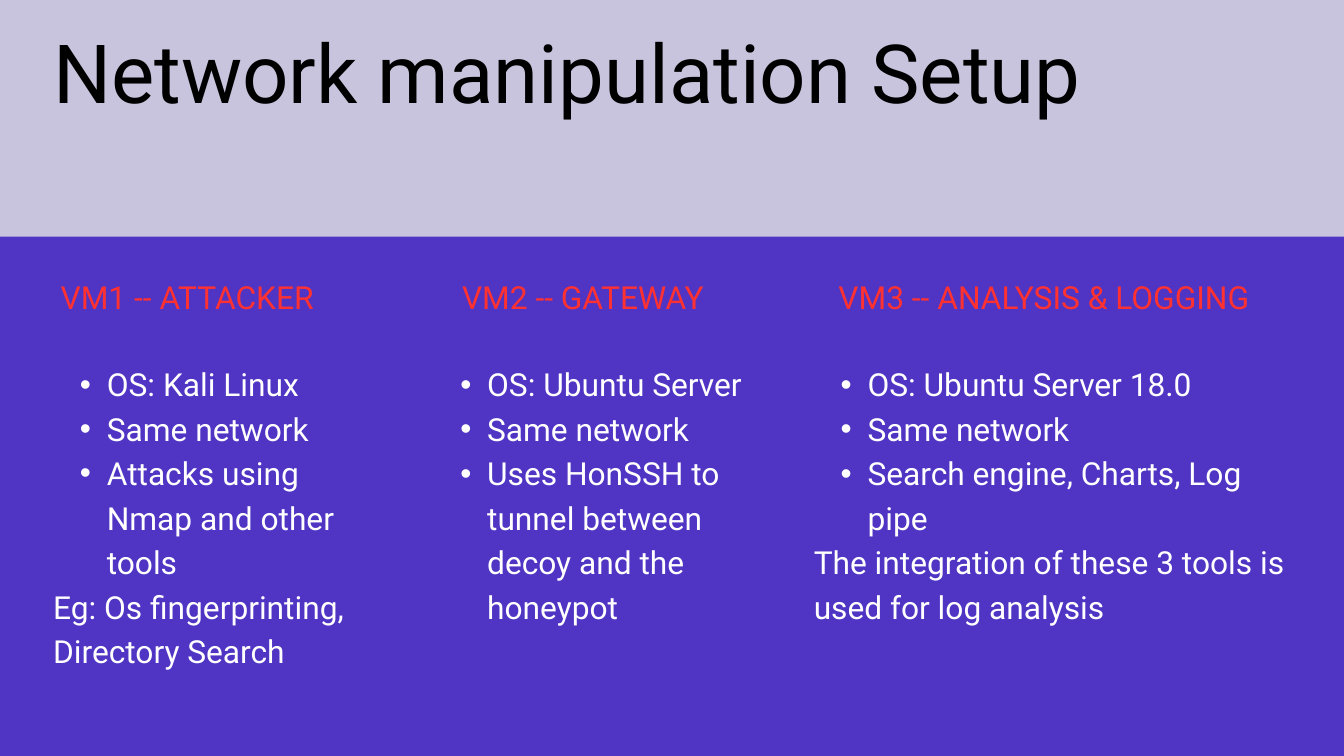
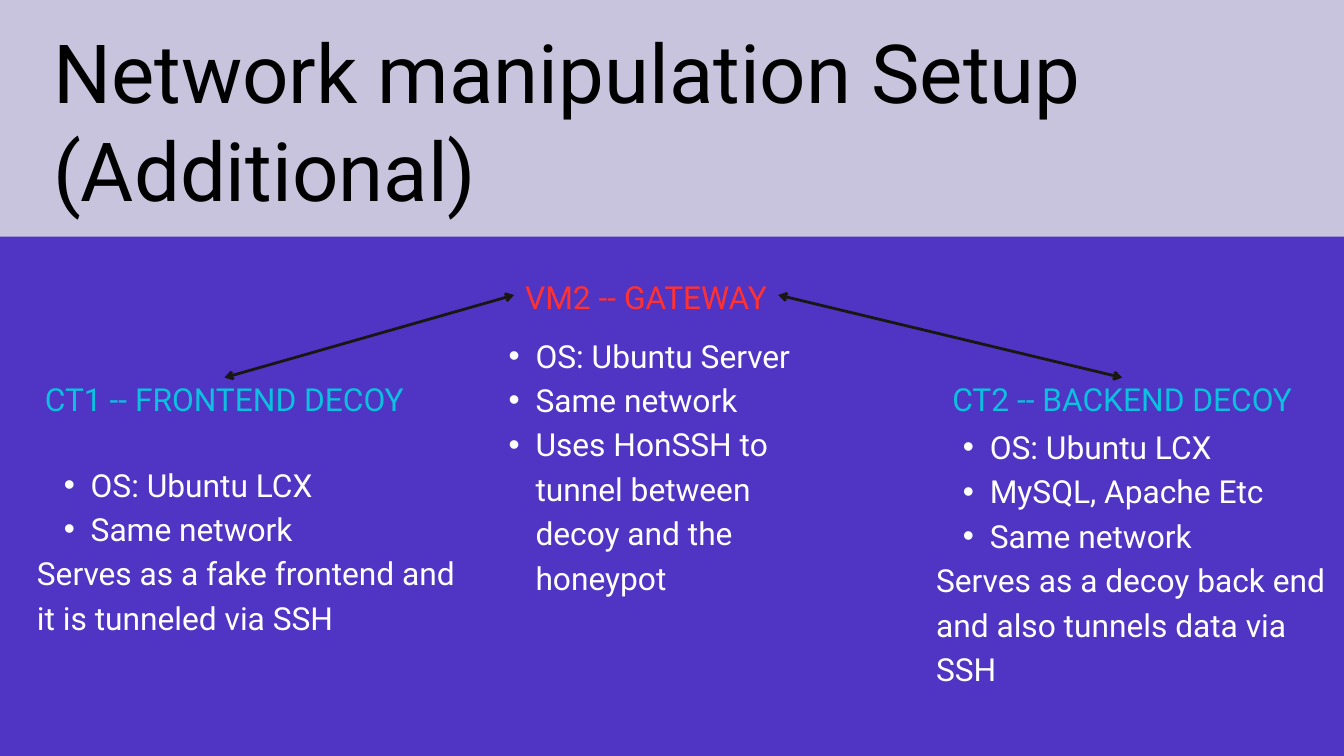
"""Builds two slides on a virtual-machine network setup with decoys."""
from lxml import etree
from pptx import Presentation
from pptx import util as u
from pptx.dml.color import RGBColor
from pptx.enum import shapes, text
from pptx.oxml.ns import qn

FONT = "Roboto"
PURPLE, LILAC = "5034C4", "C9C4DD"
BLACK, WHITE, RED, CYAN, ARROW = "000000", "FFFFFF", "FF3131", "0CC0DF", "181712"
WIDTH, HEIGHT, BAND_HEIGHT = 20, 11.25, 3.52
TITLE_BOX = (0.79, 0.32, 16.53, 2.89)
TITLE_SIZE, TITLE_SPACING = 87.4, 104.9
TEXT_SIZE, TEXT_SPACING = 34, 47.6
HEADING_HEIGHT = 0.63
BULLET_INDENT, BULLET_HANG = 0.8, 0.4

GATEWAY_BULLETS = [
    "OS: Ubuntu Server",
    "Same network",
    "Uses HonSSH to tunnel between decoy and the honeypot",
]

SLIDES = [
    {
        "title": "Network manipulation Setup",
        "machines": [
            {"heading": "VM1 -- ATTACKER", "color": RED,
             "heading_at": (0.76, 4.04, 4.05), "body_at": (0.79, 5.34, 4.85, 4.57),
             "bullets": ["OS: Kali Linux", "Same network", "Attacks using Nmap and other tools"],
             "notes": ["Eg: Os fingerprinting,", "Directory Search"]},
            {"heading": "VM2 -- GATEWAY", "color": RED,
             "heading_at": (6.71, 4.04, 3.93), "body_at": (6.45, 5.34, 5.13, 3.92),
             "bullets": GATEWAY_BULLETS, "notes": []},
            {"heading": "VM3 -- ANALYSIS & LOGGING", "color": RED,
             "heading_at": (12.18, 4.04, 6.71), "body_at": (12.11, 5.34, 7.02, 3.92),
             "bullets": ["OS: Ubuntu Server 18.0", "Same network", "Search engine, Charts, Log pipe"],
             "notes": ["The integration of these 3 tools is used for log analysis"]},
        ],
        "arrows": [],
    },
    {
        "title": "Network manipulation Setup (Additional)",
        "machines": [
            {"heading": "CT1 -- FRONTEND DECOY", "color": CYAN,
             "heading_at": (0.41, 5.55, 5.86), "body_at": (0.55, 6.83, 6.34, 2.6),
             "bullets": ["OS: Ubuntu LCX", "Same network"],
             "notes": ["Serves as a fake frontend and it is tunneled via SSH"]},
            {"heading": "VM2 -- GATEWAY", "color": RED,
             "heading_at": (7.65, 4.04, 3.93), "body_at": (7.17, 4.91, 5.13, 3.92),
             "bullets": GATEWAY_BULLETS, "notes": []},
            {"heading": "CT2 -- BACKEND DECOY", "color": CYAN,
             "heading_at": (13.93, 5.55, 5.54), "body_at": (13.93, 6.27, 5.81, 3.92),
             "bullets": ["OS: Ubuntu LCX", "MySQL, Apache Etc", "Same network"],
             "notes": ["Serves as a decoy back end and also tunnels data via SSH"]},
        ],
        "arrows": [((3.34, 5.62), (7.65, 4.39)), ((11.58, 4.39), (16.7, 5.62))],
    },
]


def rgb(value):
    return RGBColor.from_string(value)


def inches(values):
    return [u.Inches(value) for value in values]


def add_block(slide, height, color):
    block = slide.shapes.add_shape(
        shapes.MSO_SHAPE.RECTANGLE, *inches((0, 0, WIDTH, height)))
    block.shadow.inherit = False
    block.fill.solid()
    block.fill.fore_color.rgb = rgb(color)
    block.line.fill.background()


def add_bullet(paragraph):
    properties = paragraph._p.get_or_add_pPr()
    properties.set("lvl", "1")
    properties.set("marL", str(u.Inches(BULLET_INDENT)))
    properties.set("indent", str(-u.Inches(BULLET_HANG)))
    etree.SubElement(properties, qn("a:buFont"), typeface="Arial")
    etree.SubElement(properties, qn("a:buChar"), char="•")


def add_text(slide, box, bullets=(), lines=(), color=WHITE,
             size=TEXT_SIZE, spacing=TEXT_SPACING, align=text.PP_ALIGN.LEFT):
    frame = slide.shapes.add_textbox(*inches(box)).text_frame
    frame.word_wrap = True
    frame.margin_left = frame.margin_top = frame.margin_right = frame.margin_bottom = 0
    frame.text = "\n".join([*bullets, *lines])
    for index, paragraph in enumerate(frame.paragraphs):
        paragraph.alignment = align
        paragraph.line_spacing = u.Pt(spacing)
        if index < len(bullets):
            add_bullet(paragraph)
        paragraph.font.name = FONT
        paragraph.font.size = u.Pt(size)
        paragraph.font.color.rgb = rgb(color)


def add_machine(slide, machine):
    add_text(slide, (*machine["heading_at"], HEADING_HEIGHT), lines=[machine["heading"]],
             color=machine["color"], align=text.PP_ALIGN.CENTER)
    add_text(slide, machine["body_at"], machine["bullets"], machine["notes"])


def add_arrow(slide, start, end):
    arrow = slide.shapes.add_connector(
        shapes.MSO_CONNECTOR.STRAIGHT, *inches((*start, *end)))
    arrow.line.color.rgb = rgb(ARROW)
    arrow.line.width = u.Pt(3)
    line = arrow.line._get_or_add_ln()
    for tip in ("a:headEnd", "a:tailEnd"):
        etree.SubElement(line, qn(tip), type="arrow")
    etree.SubElement(arrow._element.spPr, qn("a:effectLst"))


def main():
    presentation = Presentation()
    presentation.slide_width, presentation.slide_height = inches((WIDTH, HEIGHT))
    for content in SLIDES:
        slide = presentation.slides.add_slide(presentation.slide_layouts[6])
        add_block(slide, HEIGHT, PURPLE)
        add_block(slide, BAND_HEIGHT, LILAC)
        add_text(slide, TITLE_BOX, lines=[content["title"]], color=BLACK,
                 size=TITLE_SIZE, spacing=TITLE_SPACING)
        for machine in content["machines"]:
            add_machine(slide, machine)
        for start, end in content["arrows"]:
            add_arrow(slide, start, end)
    presentation.save("out.pptx")


if __name__ == "__main__":
    main()
